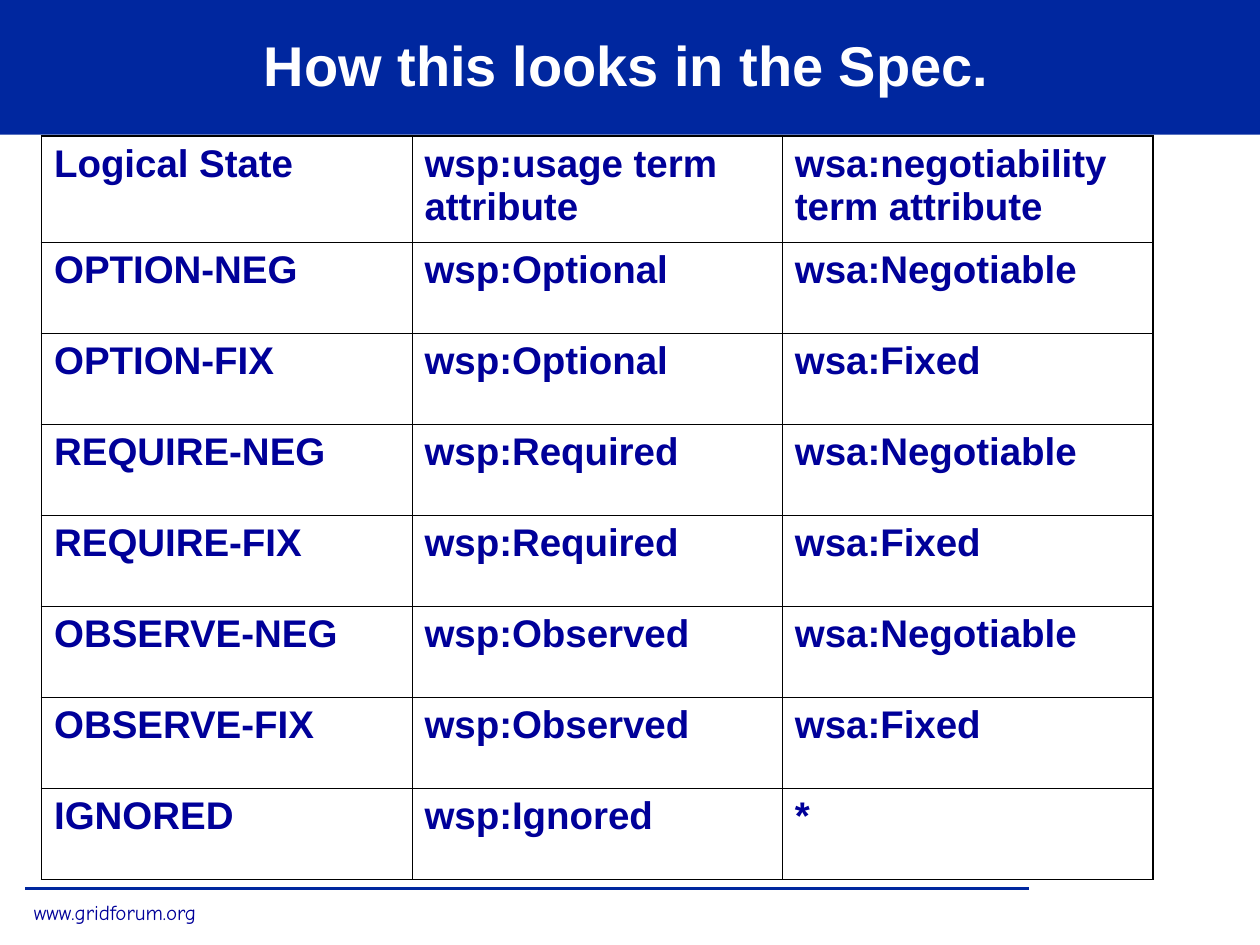
from lxml.etree import SubElement
from pptx import Presentation
from pptx.dml.color import RGBColor
from pptx.enum.shapes import MSO_CONNECTOR as Connector, MSO_SHAPE as Shape
from pptx.enum.text import MSO_ANCHOR as Anchor, MSO_AUTO_SIZE as AutoSize, PP_ALIGN as Align
from pptx.oxml.ns import qn
from pptx.util import Inches, Pt

BLUE = RGBColor(0x00, 0x27, 0x9F)
NAVY = RGBColor(0x00, 0x00, 0x99)
WHITE = RGBColor(0xFF, 0xFF, 0xFF)
BLACK = RGBColor(0x00, 0x00, 0x00)

TITLE_FONT = {"name": "Arial", "size": Pt(32), "bold": True}
CELL_FONT = {"name": "Arial", "size": Pt(22), "bold": True}
FOOTER_FONT = {"name": "Comic Neue", "size": Pt(12), "bold": False}

OUTER_BORDER, INNER_BORDER = Pt(1.08), Pt(0.45)
TABLE_HEIGHT, HEADER_HEIGHT = Inches(5.9), Inches(0.84)
COLUMN_WIDTH = Inches(2.94)

ROWS = [
    ("Logical State", "wsp:usage term attribute", "wsa:negotiability term attribute"),
    ("OPTION-NEG", "wsp:Optional", "wsa:Negotiable"),
    ("OPTION-FIX", "wsp:Optional", "wsa:Fixed"),
    ("REQUIRE-NEG", "wsp:Required", "wsa:Negotiable"),
    ("REQUIRE-FIX", "wsp:Required", "wsa:Fixed"),
    ("OBSERVE-NEG", "wsp:Observed", "wsa:Negotiable"),
    ("OBSERVE-FIX", "wsp:Observed", "wsa:Fixed"),
    ("IGNORED", "wsp:Ignored", "*"),
]


def set_values(target, values):
    """Set each named attribute of the target."""
    for name, value in values.items():
        setattr(target, name, value)


def write_text(text_frame, text, font, color, alignment=Align.LEFT):
    """Write one formatted paragraph into a text frame."""
    text_frame.text = text
    paragraph = text_frame.paragraphs[0]
    paragraph.alignment = alignment
    set_values(paragraph.font, font)
    paragraph.font.color.rgb = color


def add_band(slide):
    """Add the blue header band behind the title."""
    band = slide.shapes.add_shape(Shape.RECTANGLE, 0, 0, Inches(10), Inches(1.07))
    band.shadow.inherit = False
    band.fill.solid()
    band.fill.fore_color.rgb = BLUE
    band.line.fill.background()
    slide.shapes.title.element.addprevious(band.element)


def format_title(slide, text):
    """Place and fill the title placeholder."""
    title = slide.shapes.title
    set_values(title, {"left": 0, "top": 0, "width": Inches(9.95), "height": Inches(1.02)})
    title.fill.solid()
    title.fill.fore_color.rgb = BLUE
    title.text_frame.vertical_anchor = Anchor.MIDDLE
    write_text(title.text_frame, text, TITLE_FONT, WHITE, Align.CENTER)


def add_footer(slide, text):
    """Add the footer rule and the web address below it."""
    rule = slide.shapes.add_connector(
        Connector.STRAIGHT, Inches(0.2), Inches(7.05), Inches(8.17), Inches(7.05))
    rule.line.color.rgb = BLUE
    rule.line.width = Pt(2)
    SubElement(rule.element.spPr, qn("a:effectLst"))
    box = slide.shapes.add_textbox(Inches(0.17), Inches(7.09), Inches(1.49), Inches(0.3))
    set_values(box.text_frame, {"word_wrap": False, "auto_size": AutoSize.SHAPE_TO_FIT_TEXT})
    write_text(box.text_frame, text, FOOTER_FONT, NAVY)


def add_border(cell, side, width):
    """Draw one solid border of a cell."""
    line = SubElement(cell._tc.get_or_add_tcPr(), qn(f"a:ln{side}"), w=str(int(width)))
    fill = SubElement(line, qn("a:solidFill"))
    SubElement(fill, qn("a:srgbClr"), val=str(BLACK))


def add_state_table(slide, rows):
    """Add the table of states with a heavier outer frame."""
    last_row, last_column = len(rows) - 1, len(rows[0]) - 1
    frame = slide.shapes.add_table(
        len(rows), len(rows[0]), Inches(0.33), Inches(1.08),
        COLUMN_WIDTH * len(rows[0]), TABLE_HEIGHT)
    table = frame.table
    set_values(table, {"first_row": False, "horz_banding": False})
    for column in table.columns:
        column.width = COLUMN_WIDTH
    for row in table.rows:
        row.height = (TABLE_HEIGHT - HEADER_HEIGHT) // last_row
    table.rows[0].height = HEADER_HEIGHT
    for row_index, texts in enumerate(rows):
        for column_index, text in enumerate(texts):
            cell = table.cell(row_index, column_index)
            outer_sides = {"L": column_index == 0, "R": column_index == last_column,
                           "T": row_index == 0, "B": row_index == last_row}
            for side, is_outer in outer_sides.items():
                add_border(cell, side, OUTER_BORDER if is_outer else INNER_BORDER)
            cell.fill.background()
            write_text(cell.text_frame, text, CELL_FONT, NAVY)


def main():
    """Build and save the presentation."""
    presentation = Presentation()
    set_values(presentation, {"slide_width": Inches(10), "slide_height": Inches(7.5)})
    slide = presentation.slides.add_slide(presentation.slide_layouts[5])
    add_band(slide)
    format_title(slide, "How this looks in the Spec.")
    add_footer(slide, "www.gridforum.org")
    add_state_table(slide, ROWS)
    presentation.save("out.pptx")


if __name__ == "__main__":
    main()
